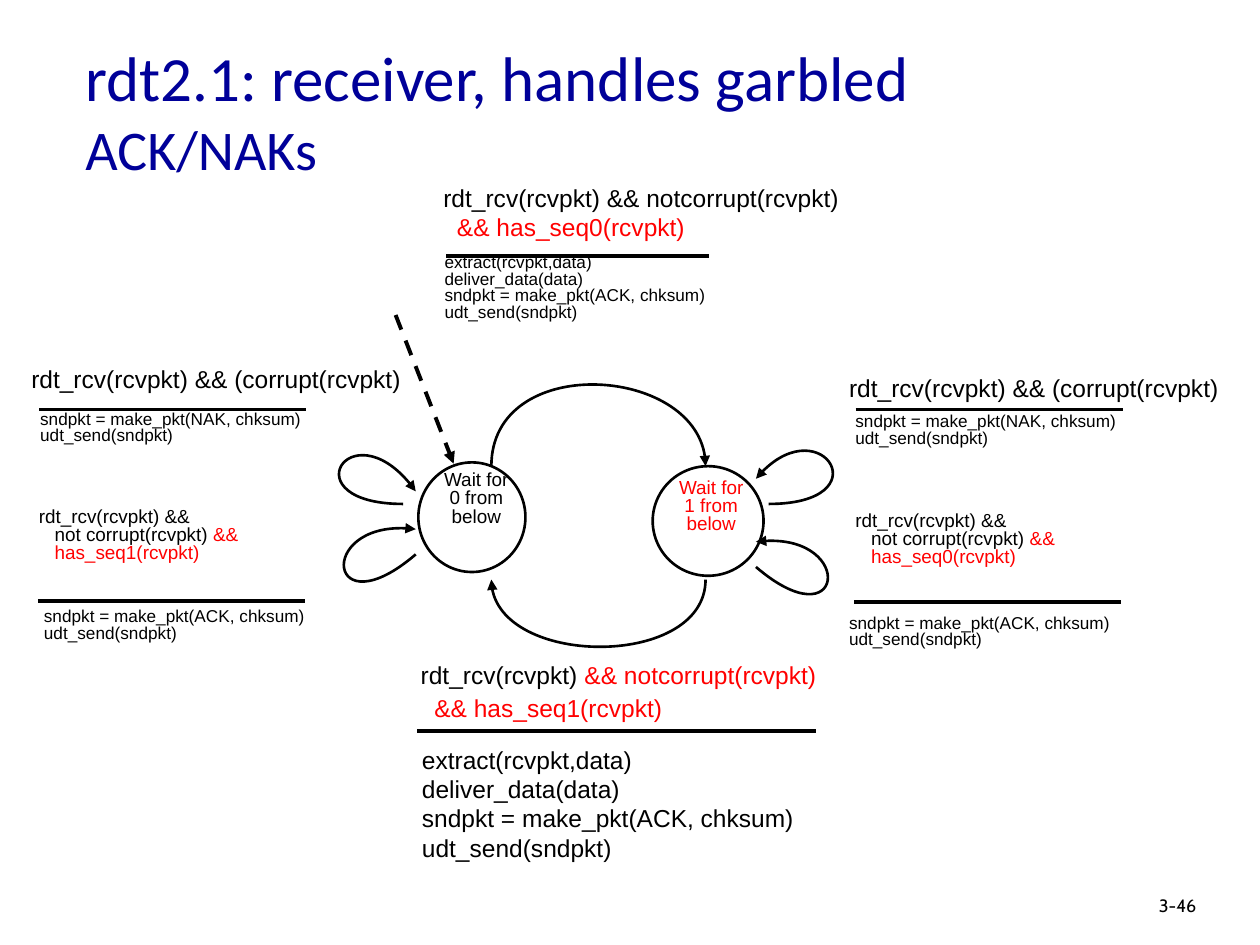
from dataclasses import dataclass

from lxml.etree import SubElement
from pptx import Presentation
from pptx.dml.color import RGBColor
from pptx.enum.dml import MSO_LINE_DASH_STYLE as Dash
from pptx.enum.shapes import MSO_CONNECTOR as Connector, MSO_SHAPE as Preset
from pptx.enum.text import MSO_ANCHOR as Anchor, PP_ALIGN as Align
from pptx.oxml.ns import qn
from pptx.util import Inches, Pt

BLACK, RED, NAVY, WHITE = "000000", "FF0000", "000099", "FFFFFF"
COLUMNS, ROWS = 100, 75
CELL = Inches(10) / COLUMNS  # square grid cells
Point = tuple[float, float]


@dataclass(frozen=True)
class Run:
    text: str
    color: str = BLACK
    size: float | None = None


@dataclass(frozen=True)
class Line:
    runs: tuple[Run, ...]
    indent: float = 0
    before: float = 0


@dataclass(frozen=True)
class Style:
    size: float
    spacing: float = 1.0
    font: str = "Arial"
    align: Align = Align.LEFT
    anchor: Anchor = Anchor.TOP


@dataclass(frozen=True)
class Label:
    """Text in a box given in grid columns and rows."""
    box: tuple[float, float, float, float]
    lines: tuple[Line, ...]
    style: Style


@dataclass(frozen=True)
class Transition:
    """An event above a rule (left, top, length), its actions below."""
    event: Label
    rule: tuple[float, float, float]
    action: Label


@dataclass(frozen=True)
class State:
    circle: tuple[float, float, float, float]
    label: Label


@dataclass(frozen=True)
class Curve:
    start: Point
    controls: tuple[Point, Point]
    end: Point


TITLE = Style(36, font="Calibri", anchor=Anchor.MIDDLE)
PAGE = Style(10.2, 0.9, "Cabin")
LARGE = Style(14)
MEDIUM = Style(10.8, 0.8)
SMALL = Style(9.8, 0.8)
STATE = Style(10.8, 0.8, align=Align.CENTER)


def line(text: str, color: str = BLACK, indent: float = 0, before: float = 0) -> Line:
    return Line((Run(text, color),), indent, before)


def reply(kind: str) -> tuple[Line, ...]:
    return line(f"sndpkt = make_pkt({kind}, chksum)"), line("udt_send(sndpkt)")


def duplicate(sequence: int) -> tuple[Line, ...]:
    return (line("rdt_rcv(rcvpkt) &&"),
            Line((Run("not corrupt(rcvpkt) "), Run("&&", RED)), 9),
            line(f"has_seq{sequence}(rcvpkt)", RED, 9))


CORRUPT = (line("rdt_rcv(rcvpkt) && (corrupt(rcvpkt)"),)
DELIVER = (line("extract(rcvpkt,data)"), line("deliver_data(data)"), *reply("ACK"))

HEADINGS = (
    Label((5.8, 2.5, 85, 12.5),
          (Line((Run("rdt2.1: receiver, handles garbled ", NAVY),
                 Run("ACK/NAKs", NAVY, 32))),), TITLE),
    Label((91, 70.7, 7.4, 3), (line("3-46"),), PAGE),
)
TRANSITIONS = (
    Transition(Label((34.2, 14, 43.5, 6.3),
                     (line("rdt_rcv(rcvpkt) && notcorrupt(rcvpkt)"),
                      line("&& has_seq0(rcvpkt)", RED, 7.8)), LARGE),
               (35.4, 20.3, 20.9),
               Label((34.3, 19.8, 38, 7.7), DELIVER, SMALL)),
    Transition(Label((32.4, 51.9, 39.2, 6.2),
                     (Line((Run("rdt_rcv(rcvpkt) "), Run("&& notcorrupt(rcvpkt)", RED))),
                      line("&& has_seq1(rcvpkt)", RED, 7.8, 2)), LARGE),
               (33.1, 58, 31.7),
               Label((32.5, 58.6, 42.1, 10.9), DELIVER, LARGE)),
    Transition(Label((1.5, 28.4, 31.4, 6.7), CORRUPT, LARGE),
               (3.1, 32.5, 21.2),
               Label((2.2, 32.2, 33.1, 4.5), reply("NAK"), SMALL)),
    Transition(Label((2.1, 39.9, 28.7, 6.7), duplicate(1), MEDIUM),
               (3, 47.7, 21.2),
               Label((2.5, 47.9, 32.2, 4.5), reply("ACK"), SMALL)),
    Transition(Label((66.4, 29.1, 31.4, 6.7), CORRUPT, LARGE),
               (67.9, 32.5, 21.2),
               Label((66.9, 32.4, 33.1, 4.5), reply("NAK"), SMALL)),
    Transition(Label((66.9, 40.2, 28.7, 6.7), duplicate(0), MEDIUM),
               (67.8, 47.8, 21.2),
               Label((66.4, 48.4, 32.2, 4.5), reply("ACK"), SMALL)),
)
STATES = (
    State((33.2, 36.7, 8.5, 8.7),
          Label((33.4, 37, 8.8, 6.7), (line("Wait for"), line("0 from below")), STATE)),
    State((51.8, 37, 8.8, 8.7),
          Label((52.1, 37.6, 8.7, 6.7),
                (line("Wait for", RED), line("1 from below", RED)), STATE)),
)
CURVES = (
    Curve((38.9, 37), ((39.3, 28.4), (56.3, 28.9)), (56.3, 37)),
    Curve((56.5, 45.6), ((56.5, 52.7), (39.4, 53.1)), (39.1, 45.6)),
    Curve((60.8, 40), ((70.1, 39.9), (64.6, 32)), (59.5, 38.4)),
    Curve((60.1, 45.2), ((67.3, 51.1), (68.2, 41.5)), (60.1, 43.2)),
    Curve((33.2, 44.5), ((26, 50.4), (25.2, 40.8)), (33.2, 42.5)),
    Curve((32.1, 40.1), ((22.8, 40), (28.3, 32.1)), (33.4, 38.6)),
)


def grid(*cells: float) -> list[int]:
    return [round(cell * CELL) for cell in cells]


def rgb(color: str) -> RGBColor:
    return RGBColor.from_string(color)


def stroke(shape, width: float, arrow: bool = False) -> None:
    shape.line.color.rgb = rgb(BLACK)
    shape.line.width = Pt(width)
    if arrow:
        SubElement(shape.line._get_or_add_ln(), qn("a:tailEnd"), type="triangle")


def draw_label(shapes, label: Label) -> None:
    frame = shapes.add_textbox(*grid(*label.box)).text_frame
    frame.word_wrap = True
    frame.vertical_anchor = label.style.anchor
    for index, content in enumerate(label.lines):
        paragraph = frame.add_paragraph() if index else frame.paragraphs[0]
        paragraph.alignment = label.style.align
        paragraph.line_spacing = label.style.spacing
        if content.before:
            paragraph.space_before = Pt(content.before)
        if content.indent:
            paragraph._p.get_or_add_pPr().set("marL", str(Pt(content.indent)))
        paragraph.font.name = label.style.font
        paragraph.font.size = Pt(label.style.size)
        for part in content.runs:
            run = paragraph.add_run()
            run.text = part.text
            run.font.color.rgb = rgb(part.color)
            if part.size:
                run.font.size = Pt(part.size)


def draw_line(shapes, start: Point, end: Point):
    connector = shapes.add_connector(Connector.STRAIGHT, *grid(*start, *end))
    SubElement(connector._element.spPr, qn("a:effectLst"))
    stroke(connector, 2.25)
    return connector


def draw_initial_arrow(shapes) -> None:
    connector = draw_line(shapes, (31.4, 25), (36, 36.8))
    connector.line.dash_style = Dash.DASH
    stroke(connector, 2.25, arrow=True)


def draw_transition(shapes, transition: Transition) -> None:
    left, top, length = transition.rule
    draw_label(shapes, transition.event)
    draw_line(shapes, (left, top), (left + length, top))
    draw_label(shapes, transition.action)


def draw_state(shapes, state: State) -> None:
    group = shapes.add_group_shape()
    circle = group.shapes.add_shape(Preset.OVAL, *grid(*state.circle))
    circle.shadow.inherit = False
    circle.fill.solid()
    circle.fill.fore_color.rgb = rgb(WHITE)
    stroke(circle, 1.5)
    draw_label(group.shapes, state.label)


def draw_curve(shapes, curve: Curve) -> None:
    """Turn the three straight segments of a freeform into one Bézier curve."""
    builder = shapes.build_freeform(*curve.start, scale=CELL)
    builder.add_line_segments((*curve.controls, curve.end), close=False)
    shape = builder.convert_to_shape()
    outline = next(shape._element.iter(qn("a:path")))
    bezier = SubElement(outline, qn("a:cubicBezTo"))
    for segment in outline.findall(qn("a:lnTo")):
        bezier.append(segment[0])
        outline.remove(segment)
    shape.shadow.inherit = False
    shape.fill.background()
    stroke(shape, 1.5, arrow=True)


def main() -> None:
    presentation = Presentation()
    presentation.slide_width, presentation.slide_height = grid(COLUMNS, ROWS)
    shapes = presentation.slides.add_slide(presentation.slide_layouts[6]).shapes
    for heading in HEADINGS:
        draw_label(shapes, heading)
    for state in STATES:
        draw_state(shapes, state)
    draw_initial_arrow(shapes)
    for curve in CURVES:
        draw_curve(shapes, curve)
    for transition in TRANSITIONS:
        draw_transition(shapes, transition)
    presentation.save("out.pptx")


if __name__ == "__main__":
    main()
